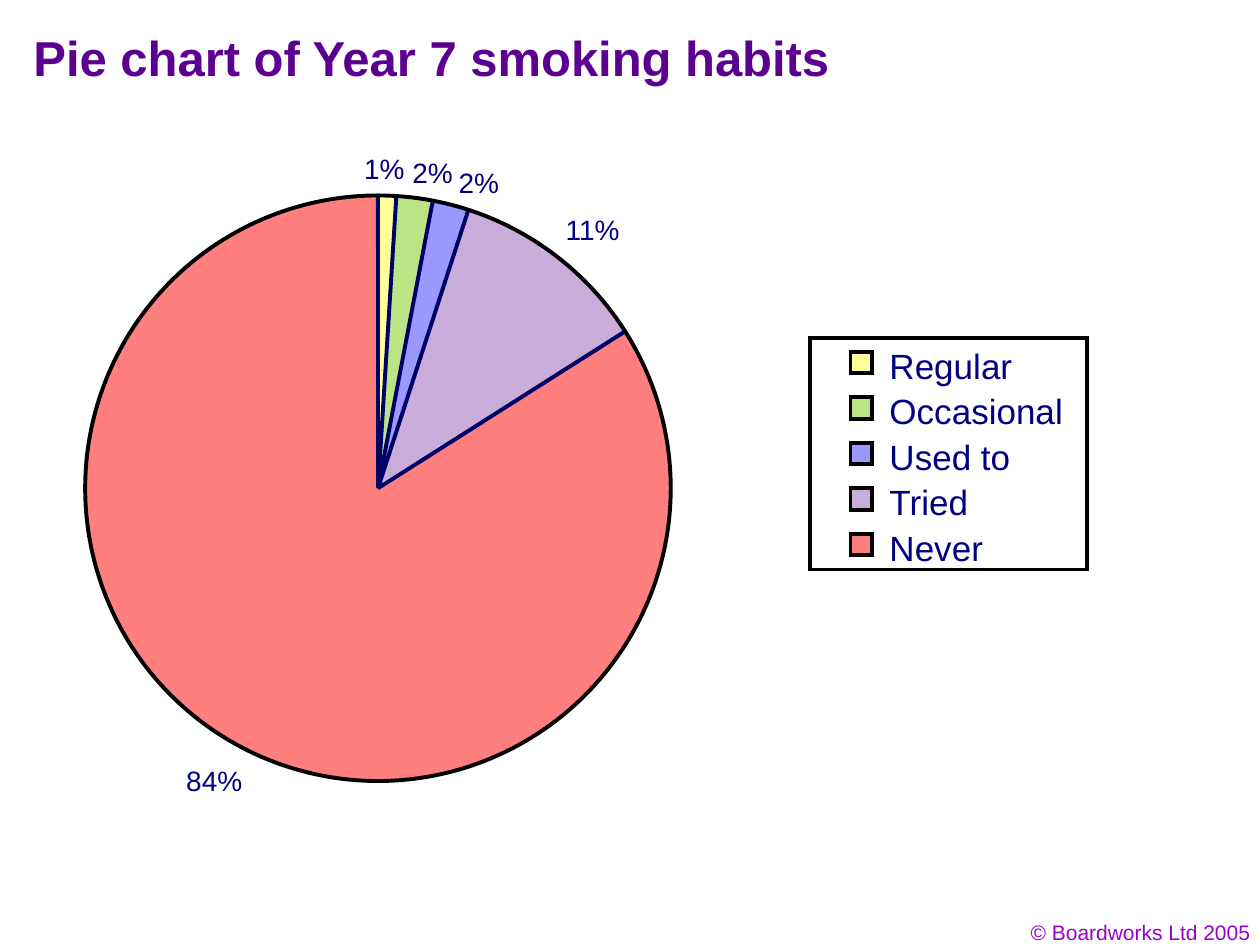
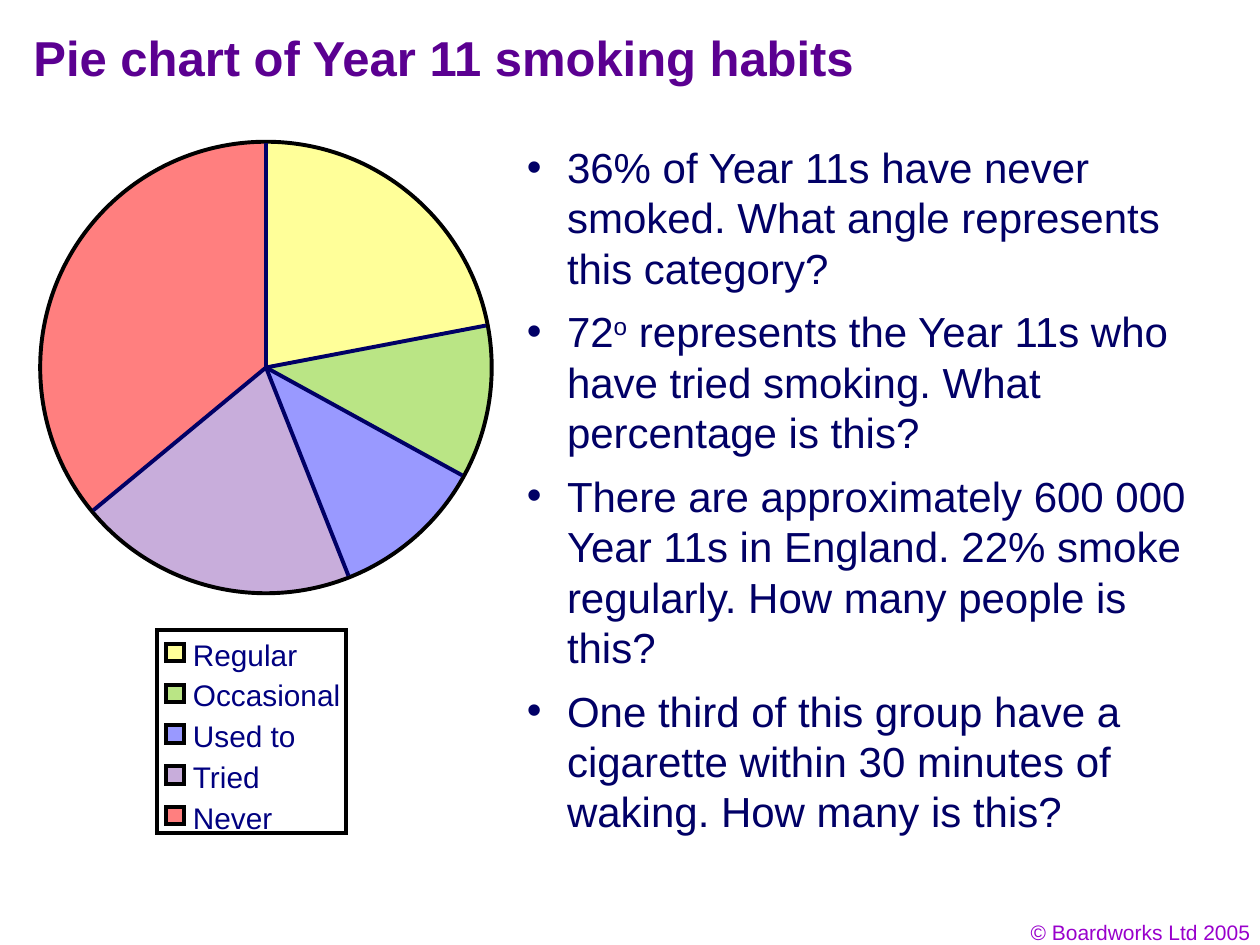
from itertools import accumulate
from math import cos, sin, tau

from lxml.etree import SubElement
from pptx import Presentation
from pptx.chart.data import CategoryChartData
from pptx.dml.color import RGBColor
from pptx.enum.chart import XL_CHART_TYPE
from pptx.enum.shapes import MSO_CONNECTOR, MSO_SHAPE
from pptx.enum.text import MSO_ANCHOR, MSO_AUTO_SIZE, PP_ALIGN
from pptx.oxml import parse_xml
from pptx.oxml.ns import nsdecls, qn
from pptx.util import Pt

COLOURS = {
    "title": "5B0091",
    "body": "010066",
    "label": "000080",
    "footer": "9900CC",
    "spoke": "000066",
    "outline": "000000",
    "paper": "FFFFFF",
}
HABITS = {
    "Regular": "FFFF99",
    "Occasional": "BAE585",
    "Used to": "9999FF",
    "Tried": "C8ADDB",
    "Never": "FF7F7F",
}
FONT = "Arial"
LINE_WIDTH = 2.25
CHART_MARGIN = 10  # room around a pie inside its chart frame

YEAR_7 = (1, 2, 2, 11, 84)
YEAR_11 = (22, 11, 11, 20, 36)
YEAR_7_LABEL_SPOTS = [(208, 86.4), (235.6, 88.9), (262, 94.4), (323.2, 121.7),
                      (106.4, 436.3)]
QUESTIONS = [
    ["36% of Year 11s have never smoked. What angle represents this category?"],
    ["72", "o", " represents the Year 11s who have tried smoking. "
     "What percentage is this?"],
    ["There are approximately 600 000 Year 11s in England. 22% smoke regularly. "
     "How many people is this?"],
    ["One third of this group have a cigarette within 30 minutes of waking. "
     "How many is this?"],
]


def colour(code):
    return RGBColor.from_string(code)


def add_span(para, text, size=16, code=COLOURS["label"], bold=False, raised=False):
    span = para.add_run()
    span.text = text
    span.font.name = FONT
    span.font.size = Pt(size)
    span.font.bold = bold
    span.font.color.rgb = colour(code)
    if raised:
        span._r.get_or_add_rPr().set("baseline", "30000")


def place(shape, left, top, width, height):
    shape.left, shape.top = Pt(left), Pt(top)
    shape.width, shape.height = Pt(width), Pt(height)


def add_label(slide, text, left, top, width, height, align=PP_ALIGN.LEFT, **style):
    box = slide.shapes.add_textbox(Pt(left), Pt(top), Pt(width), Pt(height))
    frame = box.text_frame
    frame.word_wrap = False
    frame.margin_left = frame.margin_right = 0
    frame.margin_top = frame.margin_bottom = 0
    frame.paragraphs[0].alignment = align
    add_span(frame.paragraphs[0], text, **style)
    return box


def add_outlined(slide, kind, left, top, width, height, fill=None):
    shape = slide.shapes.add_shape(kind, Pt(left), Pt(top), Pt(width), Pt(height))
    shape.shadow.inherit = False
    if fill:
        shape.fill.solid()
        shape.fill.fore_color.rgb = colour(fill)
    else:
        shape.fill.background()
    shape.line.color.rgb = colour(COLOURS["outline"])
    shape.line.width = Pt(LINE_WIDTH)
    # Square corners
    outline = shape.element.spPr.find(qn("a:ln"))
    SubElement(outline, qn("a:miter")).set("lim", "800000")


def add_spoke(slide, start, end):
    spoke = slide.shapes.add_connector(MSO_CONNECTOR.STRAIGHT,
                                       *(Pt(value) for value in (*start, *end)))
    spoke.line.color.rgb = colour(COLOURS["spoke"])
    spoke.line.width = Pt(LINE_WIDTH)
    SubElement(spoke.element.spPr, qn("a:effectLst"))


def set_title(slide, text):
    title = slide.shapes.title
    place(title, 11.9, 8.6, 612, 48)
    frame = title.text_frame
    frame.auto_size = MSO_AUTO_SIZE.NONE
    frame.vertical_anchor = MSO_ANCHOR.MIDDLE
    frame.paragraphs[0].alignment = PP_ALIGN.LEFT
    add_span(frame.paragraphs[0], text, size=28, code=COLOURS["title"], bold=True)


def add_master_footer(deck, page):
    box = add_label(page, "© Boardworks Ltd 2005", 560.5, 525.5, 154, 15,
                    align=PP_ALIGN.RIGHT, size=12, code=COLOURS["footer"])
    box.element.nvSpPr.cNvPr.set("id", "20")
    # Appending to the master moves the box off the page
    deck.slide_master.shapes.element.append(box.element)


def fix_plot_area(chart, share, start):
    """Pin the pie to a square inside the chart frame."""
    plot_area = chart.element.find(".//" + qn("c:plotArea"))
    for layout in plot_area.findall(qn("c:layout")):
        plot_area.remove(layout)
    sizes = "".join(f'<c:{name} val="{value:.4f}"/>' for name, value in
                    (("x", start), ("y", start), ("w", share), ("h", share)))
    plot_area.insert(0, parse_xml(
        f'<c:layout {nsdecls("c")}><c:manualLayout><c:layoutTarget val="inner"/>'
        f'<c:xMode val="edge"/><c:yMode val="edge"/>{sizes}'
        f'</c:manualLayout></c:layout>'))
    pie = plot_area.find(qn("c:pieChart"))
    if pie.find(qn("c:firstSliceAng")) is None:
        SubElement(pie, qn("c:firstSliceAng")).set("val", "0")


def add_pie(slide, name, values, centre, radius):
    data = CategoryChartData()
    data.categories = list(HABITS)
    data.add_series(name, values)
    across, down = centre
    reach = radius + CHART_MARGIN
    chart = slide.shapes.add_chart(
        XL_CHART_TYPE.PIE, Pt(across - reach), Pt(down - reach),
        Pt(2 * reach), Pt(2 * reach), data).chart
    chart.has_title = chart.has_legend = False
    chart.font.name = FONT
    chart.font.size = Pt(16)
    chart.font.color.rgb = colour(COLOURS["label"])
    plot = chart.plots[0]
    plot.vary_by_categories = True
    for index, fill in enumerate(HABITS.values()):
        form = plot.series[0].points[index].format
        form.fill.solid()
        form.fill.fore_color.rgb = colour(fill)
        form.line.fill.background()
    fix_plot_area(chart, radius / reach, CHART_MARGIN / (2 * reach))

    # Black rim, then a navy spoke at the end of each slice
    add_outlined(slide, MSO_SHAPE.OVAL, across - radius, down - radius,
                 2 * radius, 2 * radius)
    for total in accumulate(values):
        angle = tau * total / sum(values)
        add_spoke(slide, centre, (across + (radius - 1) * sin(angle),
                                  down - (radius - 1) * cos(angle)))


def add_key(slide, frame, swatch_left, swatch, step, text_left, size):
    add_outlined(slide, MSO_SHAPE.RECTANGLE, *frame, fill=COLOURS["paper"])
    for row, (habit, fill) in enumerate(HABITS.items()):
        top = frame[1] + 7.9 + row * step
        add_outlined(slide, MSO_SHAPE.RECTANGLE, swatch_left, top, swatch, swatch,
                     fill=fill)
        add_label(slide, habit, text_left, top - 4.3, size * 5, size * 1.18,
                  size=size)


def add_questions(slide, questions):
    body = slide.placeholders[1]
    place(body, 293.8, 77.3, 414, 404.6)
    frame = body.text_frame
    frame.auto_size = MSO_AUTO_SIZE.NONE
    for number, parts in enumerate(questions):
        para = frame.add_paragraph() if number else frame.paragraphs[0]
        para.space_before = Pt(7.5 if number else 0)
        properties = para._p.get_or_add_pPr()
        properties.set("marL", str(Pt(23)))
        properties.set("indent", str(-Pt(23)))
        for text in parts:
            add_span(para, text, size=24, code=COLOURS["body"], raised=text == "o")


def main():
    deck = Presentation()
    deck.slide_width, deck.slide_height = Pt(720), Pt(540)
    bullets_layout, title_layout = deck.slide_layouts[1], deck.slide_layouts[5]

    # Year 7
    page = deck.slides.add_slide(title_layout)
    add_master_footer(deck, page)
    set_title(page, "Pie chart of Year 7 smoking habits")
    add_pie(page, "Year 7", YEAR_7, (216, 279), 167.3)
    for value, (left, top) in zip(YEAR_7, YEAR_7_LABEL_SPOTS):
        add_label(page, f"{value}%", left, top, 32, 19.4)
    add_key(page, (463, 193, 158.4, 132.5), swatch_left=486, swatch=12.4, step=26,
            text_left=508.3, size=20)

    # Year 11
    page = deck.slides.add_slide(bullets_layout)
    set_title(page, "Pie chart of Year 11 smoking habits")
    add_questions(page, QUESTIONS)
    add_key(page, (90, 360, 108, 116), swatch_left=95, swatch=10, step=23.3,
            text_left=110.2, size=17)
    add_pie(page, "Year 11", YEAR_11, (152, 210), 129)

    deck.save("out.pptx")


if __name__ == "__main__":
    main()
